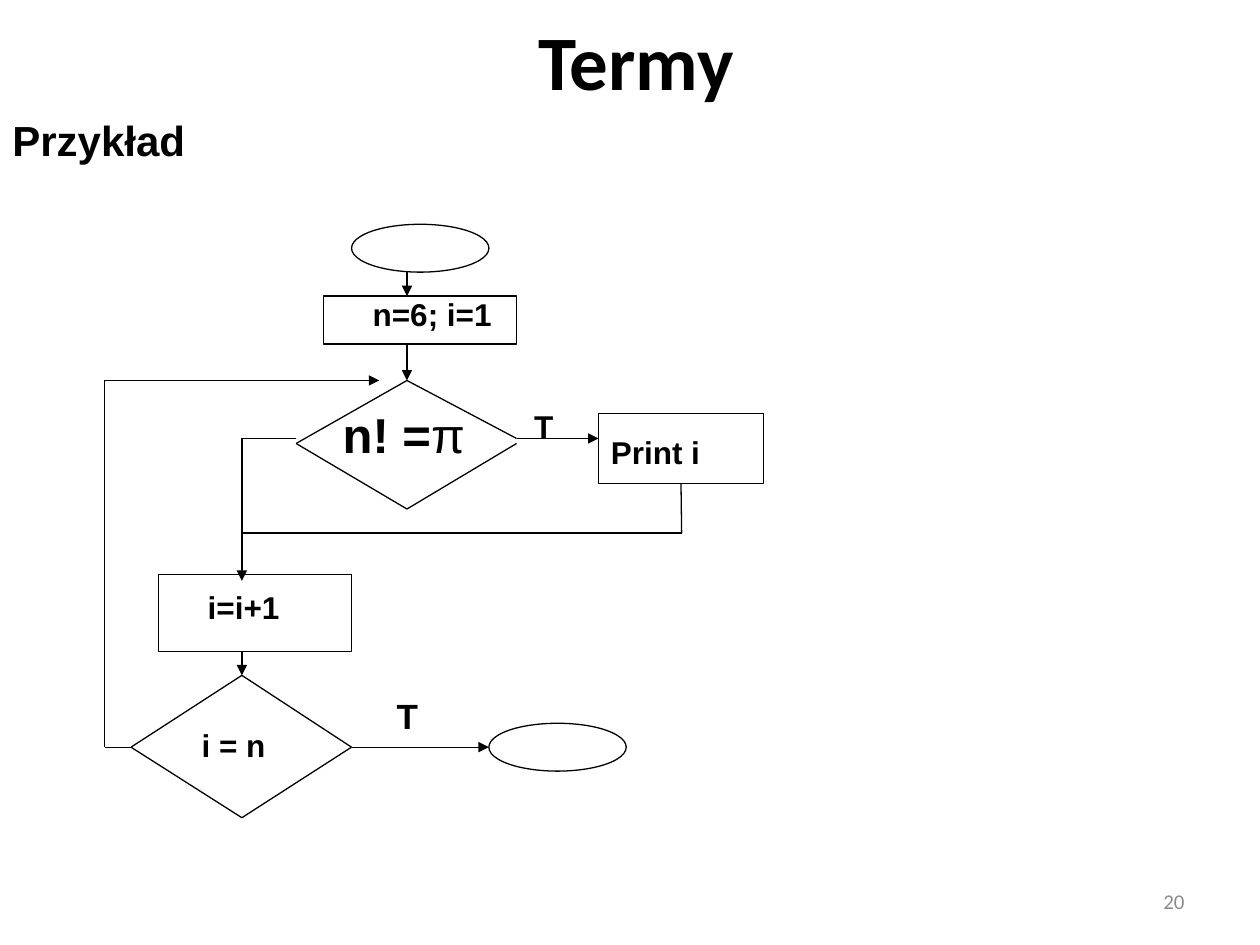
from lxml.etree import SubElement
from pptx import Presentation
from pptx.dml.color import RGBColor
from pptx.enum.shapes import MSO_CONNECTOR as Conn, MSO_SHAPE as Shape
from pptx.enum.text import MSO_ANCHOR as Anchor, PP_ALIGN as Align
from pptx.oxml.ns import qn
from pptx.util import Inches, Pt

HEX = {"ink": "000000", "paper": "FFFFFF", "gray": "8C8C8C"}
RGB = {name: RGBColor.from_string(code) for name, code in HEX.items()}


def style(run, size, font="Arial", color="ink", bold=True):
    run.font.size = Pt(size)
    run.font.name = font
    run.font.bold = bold
    run.font.color.rgb = RGB[color]


def link(start, end, arrow=False):
    """Draw a thin straight line between two points, in inches."""
    line = slide.shapes.add_connector(
        Conn.STRAIGHT, *(Inches(v) for v in (*start, *end)))
    line.line.color.rgb = RGB["ink"]
    line.line.width = Pt(0.75)
    if arrow:
        SubElement(line.line._get_or_add_ln(), qn("a:tailEnd"), type="triangle")
    SubElement(line._element.spPr, qn("a:effectLst"))
    return line


prs = Presentation()
prs.slide_width, prs.slide_height = Inches(10), Inches(7.5)
slide = prs.slides.add_slide(prs.slide_layouts[5])

title = slide.shapes.title
title.left, title.top = Inches(0.55), Inches(0)
title.width, title.height = Inches(9), Inches(0.94)
title.text_frame.text = "Termy"
title.text_frame.vertical_anchor = Anchor.MIDDLE
title.text_frame.paragraphs[0].alignment = Align.CENTER
style(title.text_frame.paragraphs[0].runs[0], 44, "Calibri")

body = slide.shapes.add_textbox(Inches(0), Inches(0.86), Inches(10), Inches(6.33))
body.text_frame.word_wrap = True
para = body.text_frame.paragraphs[0]
para.text = "Przykład"
para.space_before = Pt(4.8)
style(para.runs[0], 24)

number = slide.shapes.add_textbox(Inches(7.17), Inches(6.95), Inches(2.33), Inches(0.4))
number.text_frame.word_wrap = True
number.text_frame.vertical_anchor = Anchor.MIDDLE
para = number.text_frame.paragraphs[0]
para.text = "20"
para.alignment = Align.RIGHT
style(para.runs[0], 12, "Calibri", "gray", False)

# Captions: text, size, left, top, width, height, left inset
captions = [
    ("Print i", 18, 4.75, 3.39, 1.74, 0.43, 0.1),
    ("i=i+1", 18, 1.55, 4.62, 1.09, 0.43, 0.1),
    ("n=6; i=1", 18, 2.86, 2.29, 1.53, 0.56, 0.1),
    ("n! =", 28, 2.35, 3.16, 1.74, 0.75, 0.37),
    ("i = n", 18, 1.15, 5.71, 1.74, 0.48, 0.45),
    ("T", 18, 4.14, 3.18, 0.54, 0.26, 0.1),
    ("T", 20, 3.05, 5.46, 0.54, 0.3, 0.1),
]
for text, size, *place, inset in captions:
    box = slide.shapes.add_textbox(*(Inches(v) for v in place))
    box.text_frame.word_wrap = True
    box.text_frame.margin_left = Inches(inset)
    para = box.text_frame.paragraphs[0]
    para.text = text
    style(para.runs[0], size)
    if text == "n! =":
        pi = para.add_run()
        pi.text = "π"
        style(pi, size, bold=False)

# Outlines: terminals and steps
nodes = {
    "start": (Shape.OVAL, 2.79, 1.78, 1.09, 0.38),
    "init": (Shape.RECTANGLE, 2.57, 2.35, 1.53, 0.38),
    "print": (Shape.RECTANGLE, 4.75, 3.28, 1.31, 0.56),
    "next": (Shape.RECTANGLE, 1.26, 4.56, 1.53, 0.61),
    "stop": (Shape.OVAL, 3.88, 5.74, 1.09, 0.38),
}
made = {}
for name, (kind, *place) in nodes.items():
    node = slide.shapes.add_shape(kind, *(Inches(v) for v in place))
    node.shadow.inherit = False
    if kind == Shape.OVAL:
        node.fill.solid()
        node.fill.fore_color.rgb = RGB["paper"]
    else:
        node.fill.background()
    node.line.color.rgb = RGB["ink"]
    node.line.width = Pt(0.75)
    made[name] = node

# Columns of the chart and the two decisions
back, left, main, out = 0.83, 1.92, 3.23, 5.41
test, loop, join, last = 3.48, 3.02, 4.23, 5.93
decisions = [
    [(main, loop), (2.35, 3.52), (main, 4.04), (4.1, 3.52)],
    [(left, 5.36), (1.04, last), (left, 6.49), (2.79, last)],
]
for top, west, bottom, east in decisions:
    link(top, west)
    link(west, bottom)
    link(bottom, east)
    link(top, (east[0], test) if top[0] == main else east)

arrows = [
    ((main, 2.16), (main, 2.35)),
    ((main, 2.72), (main, loop)),
    ((4.1, test), (4.75, test)),
    ((left, test), (left, 4.61)),
    ((left, 5.17), (left, 5.36)),
    ((2.79, last), (3.88, last)),
    ((back, loop), (3.01, loop)),
]
for start, end in arrows:
    link(start, end, arrow=True)

plain = [
    ((left, test), (2.35, test)),
    ((out, join), (left, join)),
    ((1.04, last), (back, last)),
    ((back, last), (back, loop)),
]
for start, end in plain:
    link(start, end)
link((out, 3.84), (out, join)).begin_connect(made["print"], 2)

prs.save("out.pptx")
